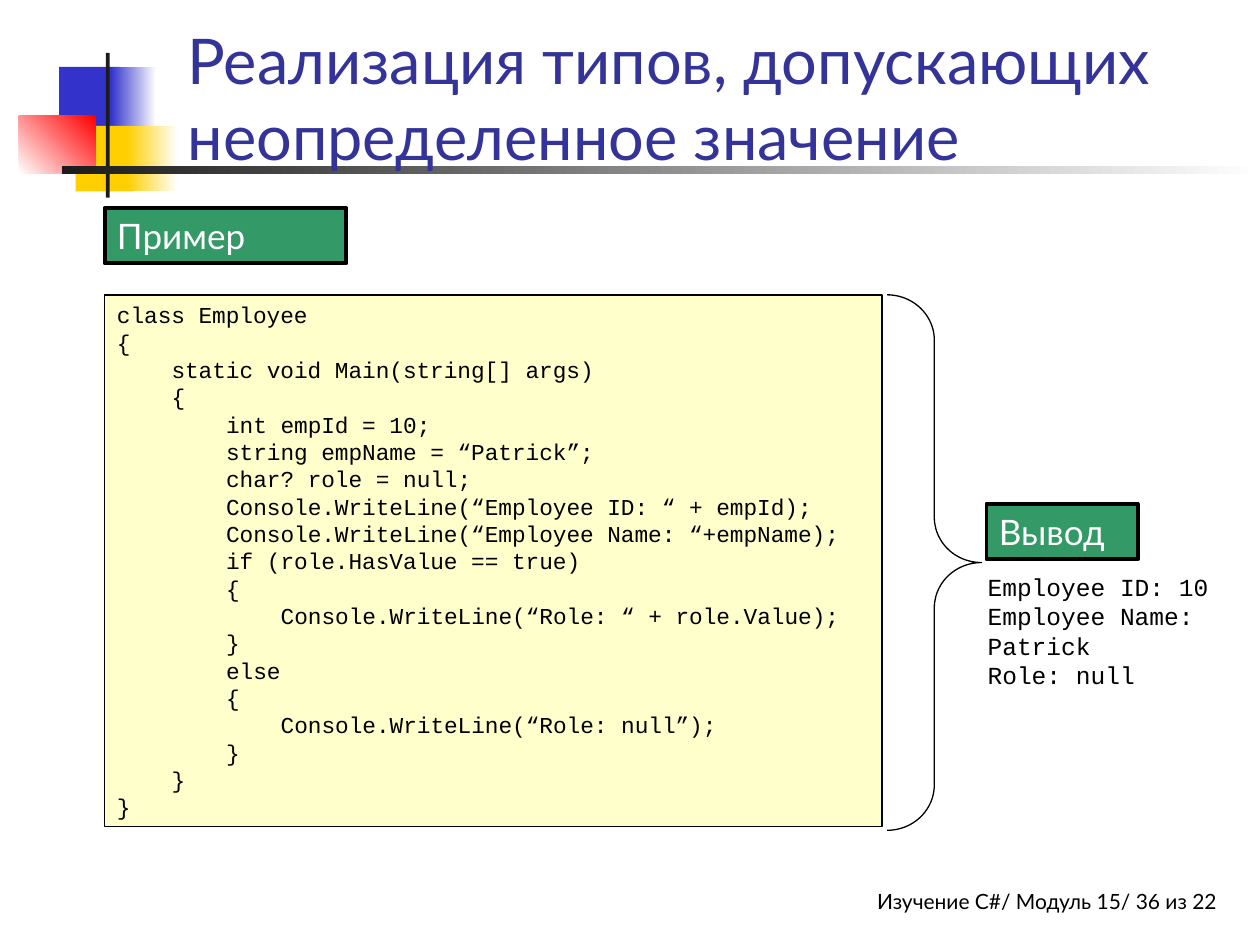
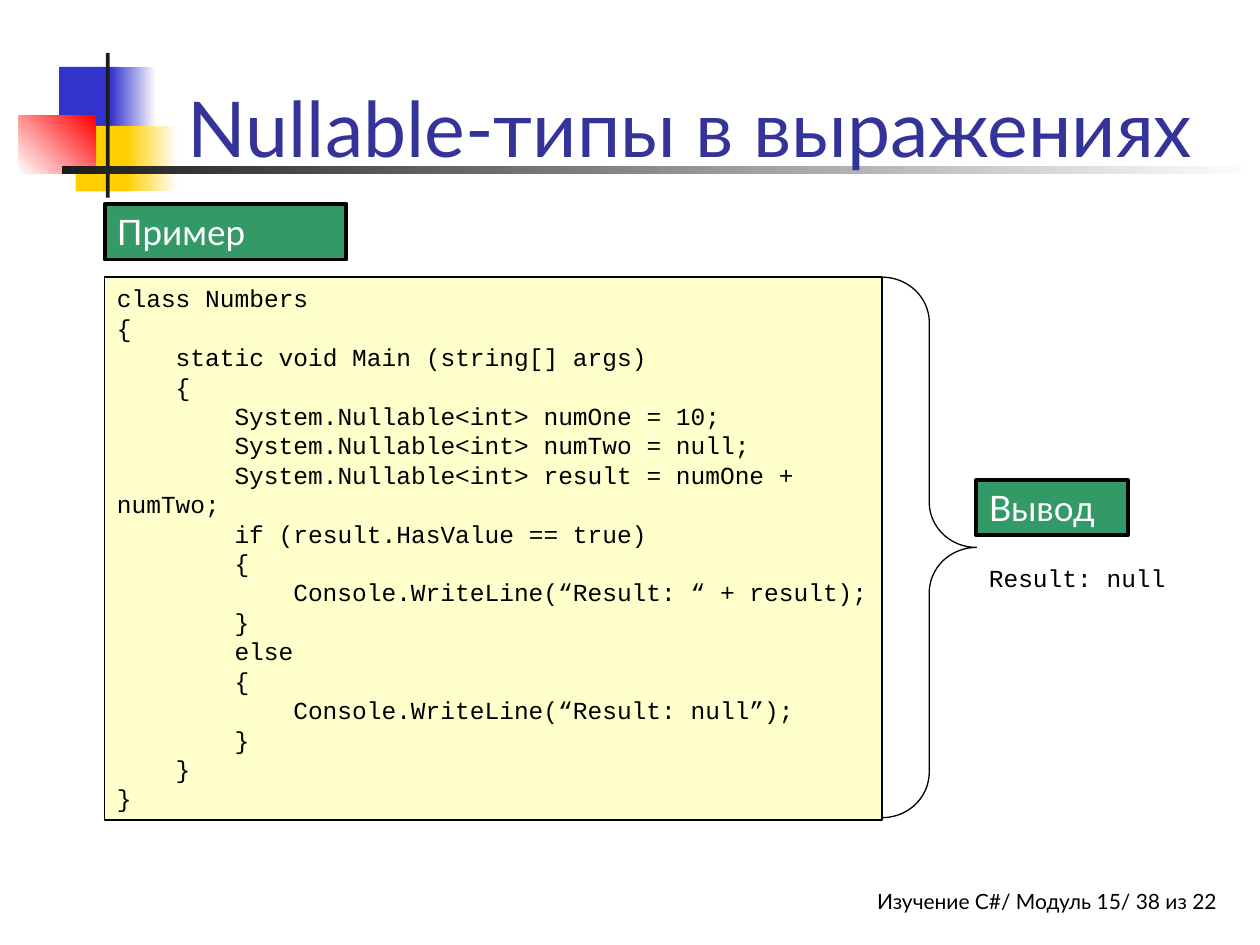
from dataclasses import dataclass

from pptx import Presentation
from pptx.dml.color import RGBColor
from pptx.enum.shapes import MSO_SHAPE as Shape
from pptx.enum.text import MSO_ANCHOR as Anchor, MSO_AUTO_SIZE as AutoSize, PP_ALIGN as Align
from pptx.util import Inches, Pt


@dataclass(frozen=True)
class Theme:
    text_font: str = "Lato"
    code_font: str = "Courier New"
    black: str = "000000"
    white: str = "FFFFFF"
    title: str = "333399"
    tag: str = "339966"
    paper: str = "FFFFCC"
    blue: str = "3333CC"
    yellow: str = "FFCF01"
    red: str = "FF0000"
    dark: str = "1C1C1C"
    tag_size: int = 20
    output_size: int = 14
    footer_size: int = 12
    thick: float = 2.25
    thin: float = 0.75


THEME = Theme()
WIDTH, HEIGHT = Inches(10), Inches(7.5)

# Columns, in percent of the slide's width
LEFT, CODE_WIDTH, BRACE_WIDTH = 8.3, 61.7, 7.5
TAG_HEIGHT = 5.87
INDENT_CHARS, CHAR_WIDTH = 4, 0.6

# Title ornament: place in percent of the slide, start colour, end colour, angle
ORNAMENT = [
    ((4.7, 7.07, 4.8, 6.93), THEME.blue, None, 0),
    ((8.8, 7.07, 3.6, 6.93), THEME.blue, THEME.white, 0),
    ((6, 13.33, 4.6, 6.93), THEME.yellow, None, 0),
    ((10.1, 13.33, 4, 6.93), THEME.yellow, THEME.white, 0),
    ((1.5, 12.27, 6.1, 6.13), THEME.white, THEME.red, 45),
    ((8.4, 5.6, 0.3, 15.33), THEME.dark, None, 0),
    ((4.9, 17.6, 95.1, 0.8), THEME.dark, THEME.white, 0),
]

EMPLOYEE_CODE = """class Employee
{
    static void Main(string[] args)
    {
        int empId = 10;
        string empName = “Patrick”;
        char? role = null;
        Console.WriteLine(“Employee ID: “ + empId);
        Console.WriteLine(“Employee Name: “+empName);
        if (role.HasValue == true)
        {
            Console.WriteLine(“Role: “ + role.Value);
        }
        else
        {
            Console.WriteLine(“Role: null”);
        }
    }
}"""

NUMBERS_CODE = """class Numbers
{
    static void Main (string[] args)
    {
        System.Nullable<int> numOne = 10;
        System.Nullable<int> numTwo = null;
        System.Nullable<int> result = numOne + numTwo;
        if (result.HasValue == true)
        {
            Console.WriteLine(“Result: “ + result);
        }
        else
        {
            Console.WriteLine(“Result: null”);
        }
    }
}"""


@dataclass(frozen=True)
class Example:
    """One slide; vertical places are percent of the slide's height."""
    number: int
    title: str
    title_size: int
    code: str
    code_size: int
    output: str
    tag_top: float
    code_top: float
    code_height: float
    brace_left: float
    brace_height: float
    result_tag: tuple
    result_text: tuple


EXAMPLES = [
    Example(36, "Реализация типов, допускающих неопределенное значение", 36,
            EMPLOYEE_CODE, 13, "Employee ID: 10\nEmployee Name: Patrick\nRole: null",
            22, 31.2, 56.27, 70.4, 56.67, (78.3, 53.33), (77.4, 59.87, 21.7, 13.87)),
    Example(38, "Nullable-типы в выражениях", 44,
            NUMBERS_CODE, 14, "Result: null",
            21.6, 29.33, 57.47, 70, 57.2, (77.5, 50.8), (77.5, 58.93, 21.7, 4.53)),
]


def place(left, top, width, height):
    """Turn percent of the slide into lengths."""
    return [round(share * side / 100)
            for share, side in zip((left, top, width, height), (WIDTH, HEIGHT) * 2)]


def rgb(colour):
    return RGBColor.from_string(colour)


def write(shape, text, size, colour, font=THEME.text_font, align=Align.LEFT, anchor=Anchor.TOP):
    """Fill a shape with one paragraph a line; leading spaces become a first-line indent."""
    frame = shape.text_frame
    frame.word_wrap, frame.auto_size = True, AutoSize.NONE
    frame.vertical_anchor = anchor
    frame.margin_left = frame.margin_right = Inches(0.1)
    frame.margin_top = frame.margin_bottom = Inches(0.05)
    for index, line in enumerate(text.split("\n")):
        para = frame.paragraphs[0] if index == 0 else frame.add_paragraph()
        para.alignment = align
        words = line.lstrip()
        levels = (len(line) - len(words)) // INDENT_CHARS
        if levels:
            indent = Pt(levels * INDENT_CHARS * CHAR_WIDTH * size)
            para._p.get_or_add_pPr().set("indent", str(indent))
        span = para.add_run()
        span.text = words
        span.font.name, span.font.size = font, Pt(size)
        span.font.color.rgb = rgb(colour)


def add_box(shapes, where, fill=None, line=None, kind=Shape.RECTANGLE):
    box = shapes.add_shape(kind, *place(*where))
    box.shadow.inherit = False
    if fill:
        box.fill.solid()
        box.fill.fore_color.rgb = rgb(fill)
    else:
        box.fill.background()
    if line:
        box.line.color.rgb = rgb(THEME.black)
        box.line.width = Pt(line)
    else:
        box.line.fill.background()
    return box


def add_text(page, where, *style, **options):
    box = page.shapes.add_textbox(*place(*where))
    write(box, *style, **options)
    return box


def add_tag(page, left, top, width, text):
    box = add_box(page.shapes, (left, top, width, TAG_HEIGHT), THEME.tag, THEME.thick)
    write(box, text, THEME.tag_size, THEME.white)


def add_ornament(page):
    group = page.shapes.add_group_shape()
    for where, start, end, angle in ORNAMENT:
        box = add_box(group.shapes, where, start)
        if end:
            box.fill.gradient()
            box.fill.gradient_angle = angle
            for stop, colour in zip(box.fill.gradient_stops, (start, end)):
                stop.color.rgb = rgb(colour)


def add_title(page, text, size):
    title = page.shapes.title
    title.left, title.top, title.width, title.height = place(13.9, 2.27, 85.2, 16.67)
    write(title, text, size, THEME.title, anchor=Anchor.BOTTOM)
    page.shapes._spTree.append(title._element)  # in front of the ornament


def add_footer(page, number):
    footer = add_text(page, (45.8, 93.33, 50.8, 4.4), f"Изучение C#/ Модуль 15/ {number} из 22",
                      THEME.footer_size, THEME.black, align=Align.RIGHT)
    footer.text_frame.margin_right = 0


def add_example(deck, example):
    page = deck.slides.add_slide(deck.slide_layouts.get_by_name("Title Only"))
    # Parts every slide shares
    add_footer(page, example.number)
    add_ornament(page)
    add_title(page, example.title, example.title_size)
    # Code listing
    add_tag(page, LEFT, example.tag_top, 19.2, "Пример")
    code = add_box(page.shapes, (LEFT, example.code_top, CODE_WIDTH, example.code_height),
                   THEME.paper, THEME.thin)
    write(code, example.code, example.code_size, THEME.black, THEME.code_font)
    # Brace from the listing to its output
    brace = add_box(page.shapes,
                    (example.brace_left, example.code_top, BRACE_WIDTH, example.brace_height),
                    line=THEME.thin, kind=Shape.RIGHT_BRACE)
    brace.adjustments[0] = 0.48
    # Output
    add_tag(page, *example.result_tag, 12, "Вывод")
    add_text(page, example.result_text, example.output, THEME.output_size, THEME.black,
             THEME.code_font)


def main():
    deck = Presentation()
    deck.slide_width, deck.slide_height = WIDTH, HEIGHT
    for example in EXAMPLES:
        add_example(deck, example)
    deck.save("out.pptx")


main()
